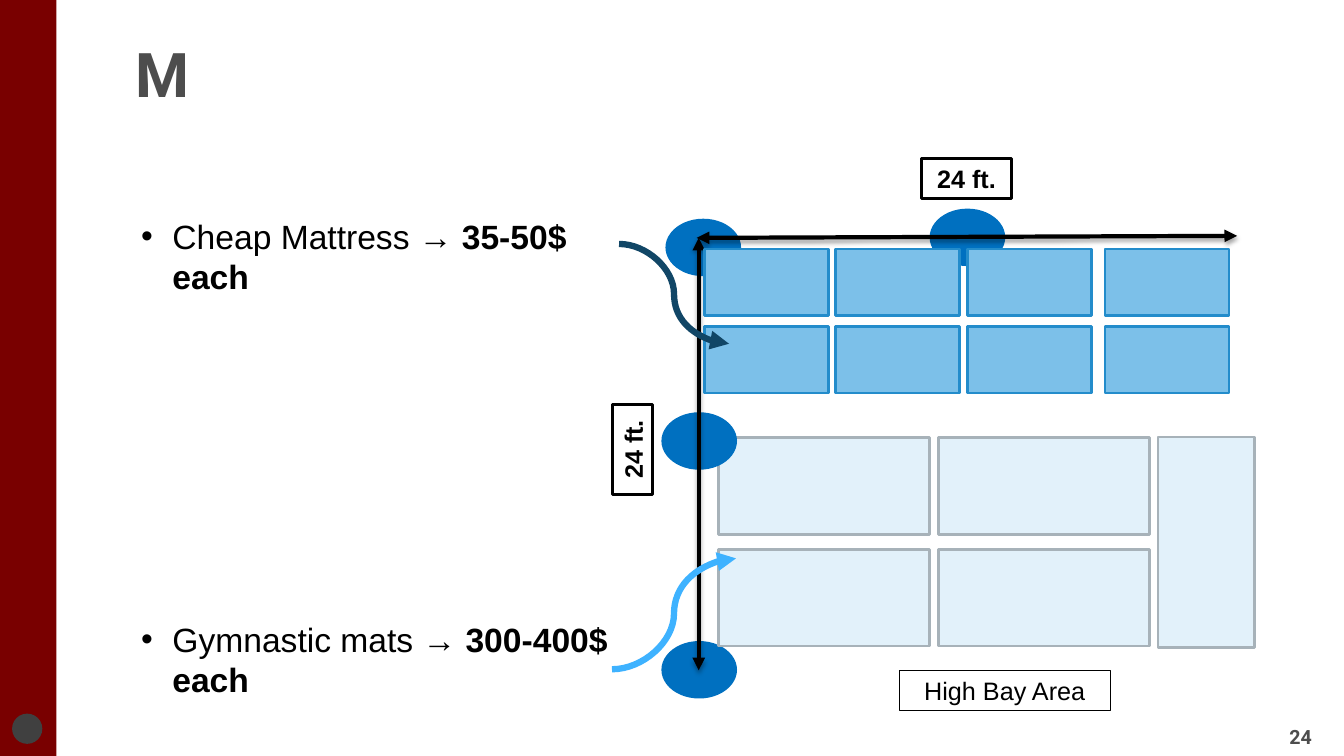
from itertools import product

from lxml.etree import SubElement
from pptx import Presentation
from pptx.dml.color import RGBColor
from pptx.enum.shapes import MSO_CONNECTOR as Connector, MSO_SHAPE as Shape
from pptx.enum.text import MSO_ANCHOR as Anchor, MSO_AUTO_SIZE as AutoSize, PP_ALIGN as Align
from pptx.oxml.ns import qn
from pptx.util import Pt

PX = 9144  # EMU in one px, 100 px to the inch
WIDTH, HEIGHT = 1333, 750

BLACK = RGBColor(0x00, 0x00, 0x00)
MAROON = RGBColor(0x79, 0x00, 0x00)
DARK_GREY = RGBColor(0x4D, 0x4D, 0x4D)
DOT_GREY = RGBColor(0x40, 0x40, 0x40)
POST_BLUE = RGBColor(0x00, 0x70, 0xC0)
MAT_FILL = RGBColor(0xE2, 0xF1, 0xFA)
MAT_EDGE = RGBColor(0xA7, 0xB2, 0xB9)
MATTRESS_FILL = RGBColor(0x7C, 0xC0, 0xE9)
MATTRESS_EDGE = RGBColor(0x23, 0x8C, 0xCB)
MAT_POINTER = RGBColor(0x3E, 0xB2, 0xFF)
MATTRESS_POINTER = RGBColor(0x11, 0x46, 0x66)


def emu(*lengths):
    return [length * PX for length in lengths]


def apply_formats(target, formats):
    for name, value in formats.items():
        setattr(target, name, value)


def add_span(para, text, color, **formats):
    span = para.add_run()
    span.text = text
    apply_formats(span.font, formats)
    span.font.color.rgb = color


def add_block(page, kind, box, fill=None, edge=None, weight=2, rotation=0):
    block = page.shapes.add_shape(kind, *emu(*box))
    block.shadow.inherit = False
    block.rotation = rotation
    if fill is None:
        block.fill.background()
    else:
        block.fill.solid()
        block.fill.fore_color.rgb = fill
    if edge is None:
        block.line.fill.background()
    else:
        block.line.color.rgb = edge
        block.line.width = Pt(weight)
    return block


def add_label(page, box, text, weight, bold, rotation=0):
    label = add_block(page, Shape.RECTANGLE, box, None, BLACK, weight, rotation)
    para = label.text_frame.paragraphs[0]
    para.alignment = Align.CENTER
    add_span(para, text, BLACK, name="Arial", size=Pt(18), bold=bold)


def add_arrow(page, kind, start, end, color, weight, heads, shadow=False):
    arrow = page.shapes.add_connector(kind, *emu(*start, *end))
    arrow.line.color.rgb = color
    arrow.line.width = Pt(weight)
    for head in heads:
        SubElement(arrow.line._ln, qn(f"a:{head}"), type="triangle")
    effects = SubElement(arrow._element.spPr, qn("a:effectLst"))
    if shadow:
        outer = SubElement(effects, qn("a:outerShdw"), blurRad="40000", dist="23000",
                           dir="5400000", rotWithShape="0")
        tint = SubElement(outer, qn("a:srgbClr"), val="000000")
        SubElement(tint, qn("a:alpha"), val="35000")


def place(shape, box):
    apply_formats(shape, dict(zip(("left", "top", "width", "height"), emu(*box))))


def add_frame(page, box):
    """Draw the side bar, its dot and the page number within the page box."""
    left, top, width, height = box
    bottom = top + height
    add_block(page, Shape.RECTANGLE, (left, top, 56, height), MAROON)
    add_block(page, Shape.OVAL, (left + 12, bottom - 42, 30, 30), DOT_GREY)

    number = page.shapes.add_textbox(*emu(left + width - 64, bottom - 36, 47, 33))
    number.text_frame.word_wrap = True
    add_span(number.text_frame.paragraphs[0], "24", DARK_GREY,
             name="Roboto", size=Pt(14), bold=True)


def add_title(page, box, text):
    title = page.shapes.title
    place(title, box)
    apply_formats(title.text_frame, dict(
        margin_left=0, margin_top=0, margin_right=0, margin_bottom=0,
        vertical_anchor=Anchor.MIDDLE, auto_size=AutoSize.NONE))
    para = title.text_frame.paragraphs[0]
    apply_formats(para, dict(alignment=Align.LEFT, line_spacing=1.2))
    add_span(para, text, DARK_GREY, name="Roboto", size=Pt(44), bold=True)


def add_price_list(page, box, prices):
    body = page.placeholders[1]
    place(body, box)
    frame = body.text_frame
    apply_formats(frame, dict(auto_size=AutoSize.NONE, word_wrap=True,
                              vertical_anchor=Anchor.TOP))
    for index, (item, price) in enumerate(prices):
        para = frame.add_paragraph() if index else frame.paragraphs[0]
        properties = para._p.get_or_add_pPr()
        properties.set("marL", str(31 * PX))
        properties.set("indent", str(-31 * PX))
        SubElement(properties, qn("a:buFont"), typeface="Arial")
        SubElement(properties, qn("a:buChar"), char="•")
        apply_formats(para, dict(alignment=Align.LEFT, line_spacing=Pt(28.8),
                                 space_before=Pt(230.4 if index else 0), space_after=Pt(0)))
        add_span(para, f"{item} → ", BLACK, name="Arial", size=Pt(24), bold=False)
        add_span(para, price, BLACK, name="Arial", size=Pt(24), bold=True)


def add_floor_plan(page, corner):
    """Draw the padded area, measured from the corner where both dimension arrows meet."""
    def at(x, y):
        return corner[0] + x, corner[1] + y

    def add_post(x, y):
        add_block(page, Shape.OVAL, (*at(x, y), 75, 57), POST_BLUE)

    def add_mat(x, y, rotation=0):
        add_block(page, Shape.RECTANGLE, (*at(x, y), 209, 96), MAT_FILL, MAT_EDGE,
                  rotation=rotation)

    add_label(page, (*at(224, -79), 89, 40), "24 ft.", 2.25, True)
    add_label(page, (*at(-107, 190), 89, 40), "24 ft.", 2.25, True, rotation=270)

    for post in ((-30, -19), (232, -29), (-34, 400)):
        add_post(*post)
    for row, column in product(range(2), range(2)):
        add_mat(23 + 218 * column, 198 + 111 * row)
    add_mat(402, 254, rotation=270)
    add_post(-34, 173)

    for start, end in (((1, 0), (537, -2)), ((3, 0), (3, 429))):
        add_arrow(page, Connector.STRAIGHT, at(*start), at(*end), BLACK, 3,
                  ("headEnd", "tailEnd"), shadow=True)

    for y, x in product((11, 88), (9, 139, 270, 406)):
        add_block(page, Shape.RECTANGLE, (*at(x, y), 123, 66), MATTRESS_FILL, MATTRESS_EDGE)

    for start, end, color in (((-83, 428), (40, 318), MAT_POINTER),
                              ((-76, 6), (33, 105), MATTRESS_POINTER)):
        add_arrow(page, Connector.CURVE, at(*start), at(*end), color, 4.5, ("tailEnd",))

    add_label(page, (*at(202, 429), 209, 40), "High Bay Area", 0.75, False)


def main():
    deck = Presentation()
    deck.slide_width, deck.slide_height = emu(WIDTH, HEIGHT)
    page = deck.slides.add_slide(deck.slide_layouts[1])
    add_frame(page, (0, 0, WIDTH, HEIGHT))
    add_title(page, (134, 21, 1085, 87), "M")
    add_price_list(page, (130, 209, 488, 541), (
        ("Cheap Mattress", "35-50$ each"),
        ("Gymnastic mats", "300-400$ each"),
    ))
    add_floor_plan(page, (690, 236))
    deck.save("out.pptx")


if __name__ == "__main__":
    main()
